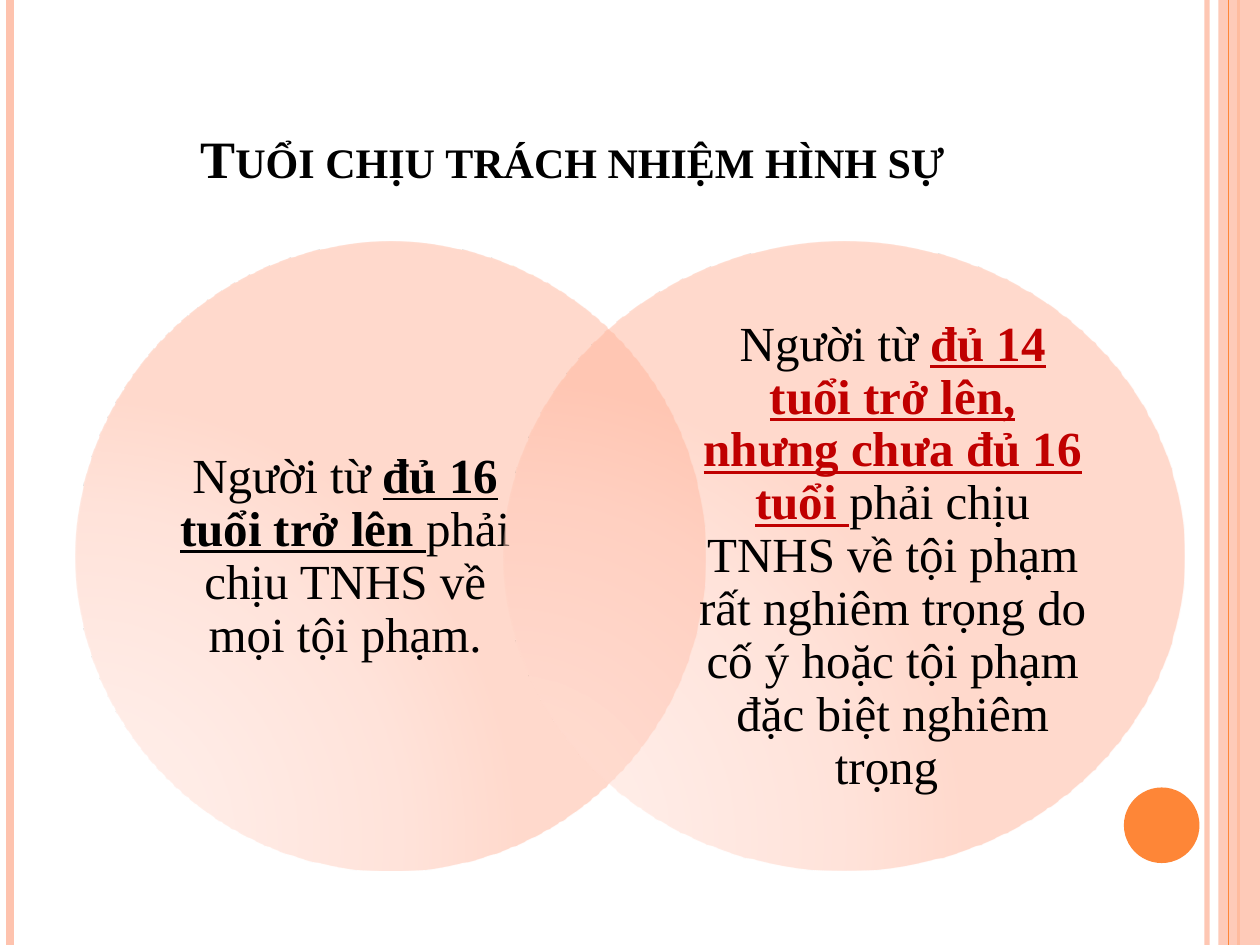
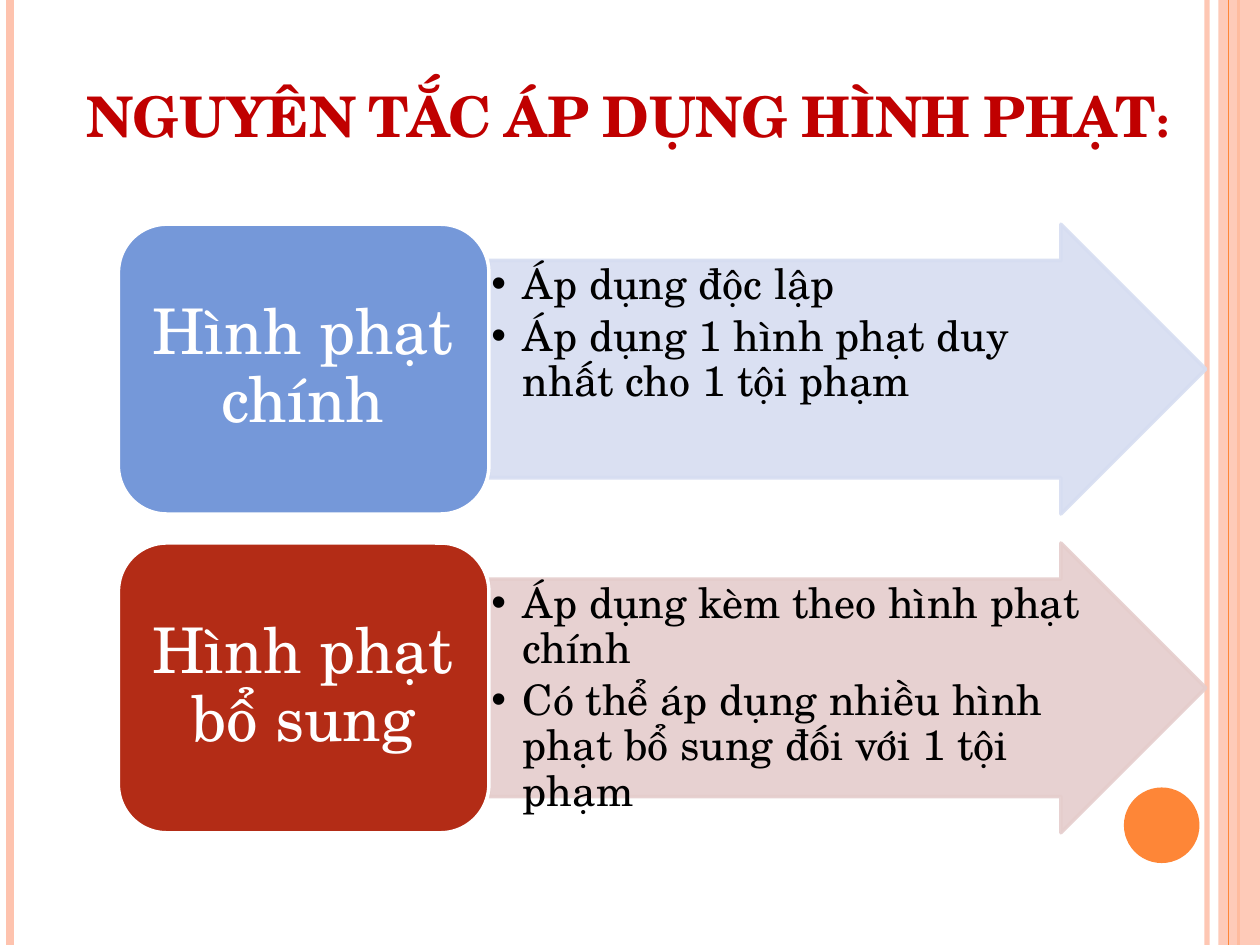
from lxml import etree
from pptx import Presentation
from pptx.dml.color import RGBColor
from pptx.enum.shapes import MSO_CONNECTOR, MSO_SHAPE
from pptx.enum.text import MSO_ANCHOR, MSO_AUTO_SIZE, PP_ALIGN
from pptx.oxml import parse_xml
from pptx.oxml.ns import nsdecls, qn
from pptx.util import Emu, Pt

PX = 9144
WIDTH, HEIGHT = 1000, 750
STRAIGHT = MSO_CONNECTOR.STRAIGHT
ELLIPSE, RECTANGLE = MSO_SHAPE.OVAL, MSO_SHAPE.RECTANGLE
ROUNDED, ARROW = MSO_SHAPE.ROUNDED_RECTANGLE, MSO_SHAPE.RIGHT_ARROW
LEFT, CENTER = PP_ALIGN.LEFT, PP_ALIGN.CENTER
TOP, MIDDLE, BOTTOM = MSO_ANCHOR.TOP, MSO_ANCHOR.MIDDLE, MSO_ANCHOR.BOTTOM
NO_AUTOFIT = MSO_AUTO_SIZE.NONE

TITLE_ONLY, TWO_CONTENT = 5, 3
SERIF, SCHOLA = "Times New Roman", "TeX Gyre Schola"
COLORS = {
    "black": "000000", "white": "FFFFFF", "red": "C00000",
    "peach": "FEC3AE", "orange": "FE8637",
    "blue": "7598D9", "pale blue": "D6DDF1",
    "rust": "B32C16", "pale rust": "E5CDCC",
}
CIRCLE_STOPS = [(0, "FFDED5"), (30, "FFDBD0"), (75, "FFC8B6"), (100, "FFB59B")]
SIDE_LINES = [(958, "peach", 3, 93), (8, "peach", 4.5, 100), (983, "orange", 1.5, 100)]


def rgb(name):
    return RGBColor.from_string(COLORS[name])


class Deck:
    def __init__(self):
        self.presentation = Presentation()
        self.presentation.slide_width = Emu(WIDTH * PX)
        self.presentation.slide_height = Emu(HEIGHT * PX)
        self.slide = None

    def add_slide(self, layout):
        layouts = self.presentation.slide_layouts
        self.slide = self.presentation.slides.add_slide(layouts[layout])
        for x, color, weight, opacity in SIDE_LINES:
            self.vertical_line(x, color, weight, opacity)
        self.shape(RECTANGLE, (967, 0, 33, HEIGHT), "peach", opacity=87)
        self.vertical_line(975, "orange", 0.75)
        self.shape(ELLIPSE, (892, 625, 60, 60), "orange")

    def set_opacity(self, shape, opacity):
        if opacity < 100:
            for color in shape._element.spPr.iter(qn("a:srgbClr")):
                etree.SubElement(color, qn("a:alpha"), val=str(opacity * 1000))

    def vertical_line(self, x, color, weight, opacity=100):
        line = self.slide.shapes.add_connector(STRAIGHT, x * PX, 0, x * PX, HEIGHT * PX)
        line.line.color.rgb = rgb(color)
        line.line.width = Pt(weight)
        etree.SubElement(line._element.spPr, qn("a:effectLst"))
        self.set_opacity(line, opacity)

    def shape(self, kind, box, fill, outline=None, opacity=100):
        shape = self.slide.shapes.add_shape(kind, *(length * PX for length in box))
        shape.shadow.inherit = False
        shape.fill.solid()
        shape.fill.fore_color.rgb = rgb(fill)
        if outline:
            shape.line.color.rgb = rgb(outline)
            shape.line.width = Pt(2)
        else:
            shape.line.fill.background()
        self.set_opacity(shape, opacity)
        return shape

    def glowing_circle(self, box):
        circle = self.shape(ELLIPSE, box, "peach")
        stops = "".join(
            f'<a:gs pos="{position * 1000}"><a:srgbClr val="{color}"/></a:gs>'
            for position, color in CIRCLE_STOPS)
        gradient = parse_xml(
            f'<a:gradFill {nsdecls("a")} rotWithShape="1"><a:gsLst>{stops}</a:gsLst>'
            '<a:path path="circle"><a:fillToRect l="5000" t="100000" r="120000" b="10000"/>'
            '</a:path></a:gradFill>')
        properties = circle._element.spPr
        properties.replace(properties.find(qn("a:solidFill")), gradient)
        self.set_opacity(circle, 50)

    def place(self, shape, box, anchor, insets):
        shape.left, shape.top, shape.width, shape.height = (Emu(n * PX) for n in box)
        frame = shape.text_frame
        frame.word_wrap = True
        frame.auto_size = NO_AUTOFIT
        frame.vertical_anchor = anchor
        frame.margin_left = frame.margin_right = Emu(insets[0] * PX)
        frame.margin_top = frame.margin_bottom = Emu(insets[1] * PX)
        return frame

    def format(self, paragraph, font, size, color, alignment, after=0.0, spacing=0.9):
        paragraph.font.name = font
        paragraph.font.size = Pt(size)
        paragraph.font.color.rgb = rgb(color)
        paragraph.alignment = alignment
        paragraph.line_spacing = spacing
        paragraph.space_before = Pt(0)
        paragraph.space_after = Pt(size * after)

    def title(self, text, box, font, size, color, alignment):
        frame = self.place(self.slide.shapes.title, box, BOTTOM, (10, 5))
        paragraph = frame.paragraphs[0]
        self.format(paragraph, font, size, color, alignment, spacing=1.0)
        paragraph.font.bold = True
        run = paragraph.add_run()
        run.text = text
        run._r.get_or_add_rPr().set("cap", "small")

    def label(self, parts, box, font, size, color="black", emphasis="black", insets=(0, 0)):
        text_box = self.slide.shapes.add_textbox(0, 0, 0, 0)
        paragraph = self.place(text_box, box, MIDDLE, insets).paragraphs[0]
        self.format(paragraph, font, size, color, CENTER, after=0.35)
        for text, emphasized in parts:
            run = paragraph.add_run()
            run.text = text
            if emphasized:
                run.font.bold = run.font.underline = True
                run.font.color.rgb = rgb(emphasis)

    def bullets(self, index, items, box):
        body = self.slide.placeholders[index]
        body._element.getparent().append(body._element)
        frame = self.place(body, box, TOP, (2, 2))
        for number, item in enumerate(items):
            paragraph = frame.add_paragraph() if number else frame.paragraphs[0]
            paragraph.text = item
            self.format(paragraph, SCHOLA, 24, "black", LEFT, after=0.15)
            properties = paragraph._p.get_or_add_pPr()
            properties.set("marL", str(25 * PX))
            properties.set("indent", str(-25 * PX))
            bullet = parse_xml(f'<a:buChar {nsdecls("a")} char="•"/>')
            properties.find(qn("a:defRPr")).addprevious(bullet)


def build_age_slide(deck):
    deck.add_slide(TITLE_ONLY)
    deck.title("Tuổi chịu trách nhiệm hình sự ", (50, 30, 817, 125),
               SERIF, 30, "black", CENTER)
    groups = [
        ((60, 192, 500, 499), (130, 251, 288, 382), "black", "đủ 16 tuổi trở lên ",
         "phải chịu TNHS về mọi tội phạm."),
        ((400, 192, 540, 499), (553, 251, 311, 382), "red",
         "đủ 14 tuổi trở lên, nhưng chưa đủ 16 tuổi ",
         "phải chịu TNHS về tội phạm rất nghiêm trọng do cố ý "
         "hoặc tội phạm đặc biệt nghiêm trọng "),
    ]
    for circle_box, text_box, emphasis, age, liability in groups:
        deck.glowing_circle(circle_box)
        parts = [("Người từ ", False), (age, True), (liability, False)]
        deck.label(parts, text_box, SERIF, 28, emphasis=emphasis)


def build_penalty_slide(deck):
    deck.add_slide(TWO_CONTENT)
    deck.title("NGUYÊN TẮC ÁP DỤNG HÌNH PHẠT:", (59, 36, 907, 87),
               SCHOLA, 32, "red", LEFT)
    penalties = [
        ("Hình phạt chính", "blue",
         ["Áp dụng độc lập", "Áp dụng 1 hình phạt duy nhất cho 1 tội phạm"]),
        ("Hình phạt bổ sung", "rust",
         ["Áp dụng kèm theo hình phạt chính",
          "Có thể áp dụng nhiều hình phạt bổ sung đối với 1 tội phạm"]),
    ]
    for row, (name, color, rules) in enumerate(penalties):
        top = 178 + 253 * row
        pale = f"pale {color}"
        arrow = deck.shape(ARROW, (388, top, 569, 230), pale, pale, 90)
        arrow.adjustments[0] = 0.75
        arrow.adjustments[1] = 0.5
        deck.bullets(row + 1, rules, (388, top + 29, 483, 172))
        deck.shape(ROUNDED, (94, top, 294, 230), color, "white")
        deck.label([(name, False)], (105, top + 11, 271, 207), SCHOLA, 36, "white",
                   insets=(15, 7))


def main():
    deck = Deck()
    build_age_slide(deck)
    build_penalty_slide(deck)
    deck.presentation.save("out.pptx")


if __name__ == "__main__":
    main()
